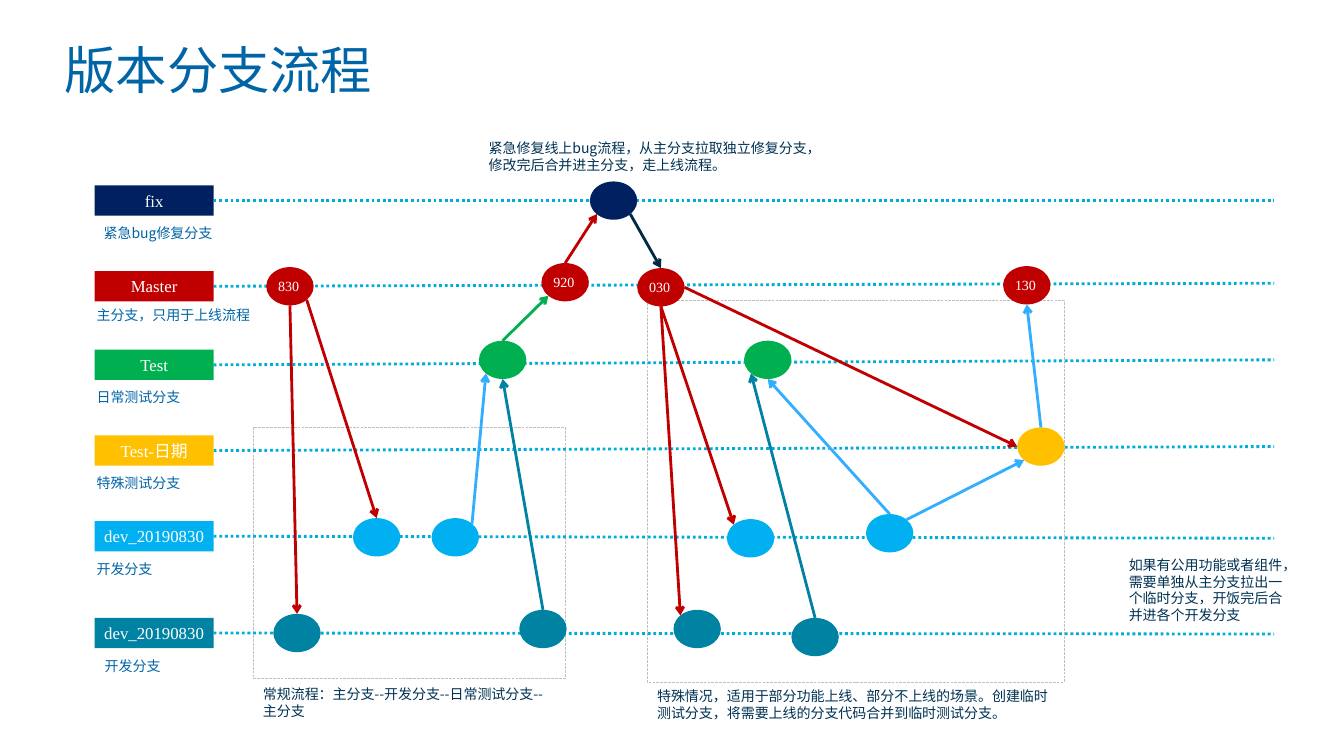
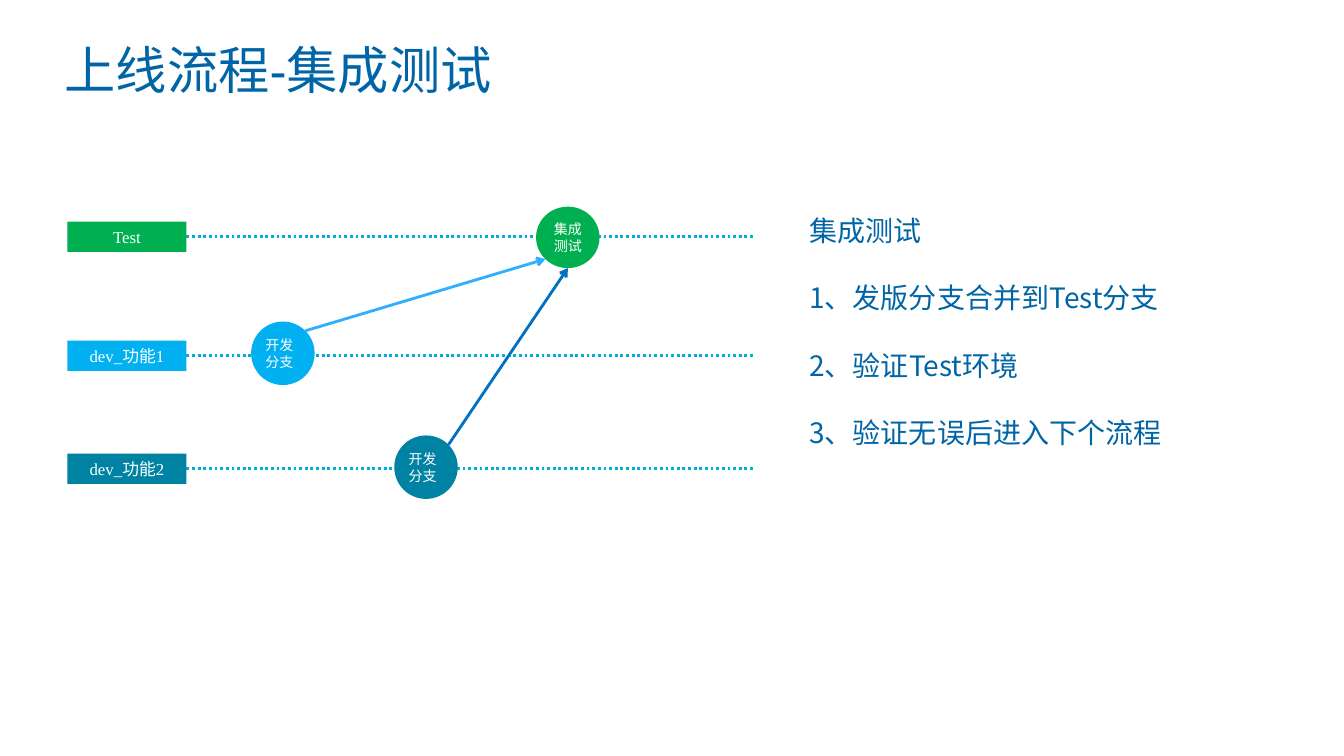
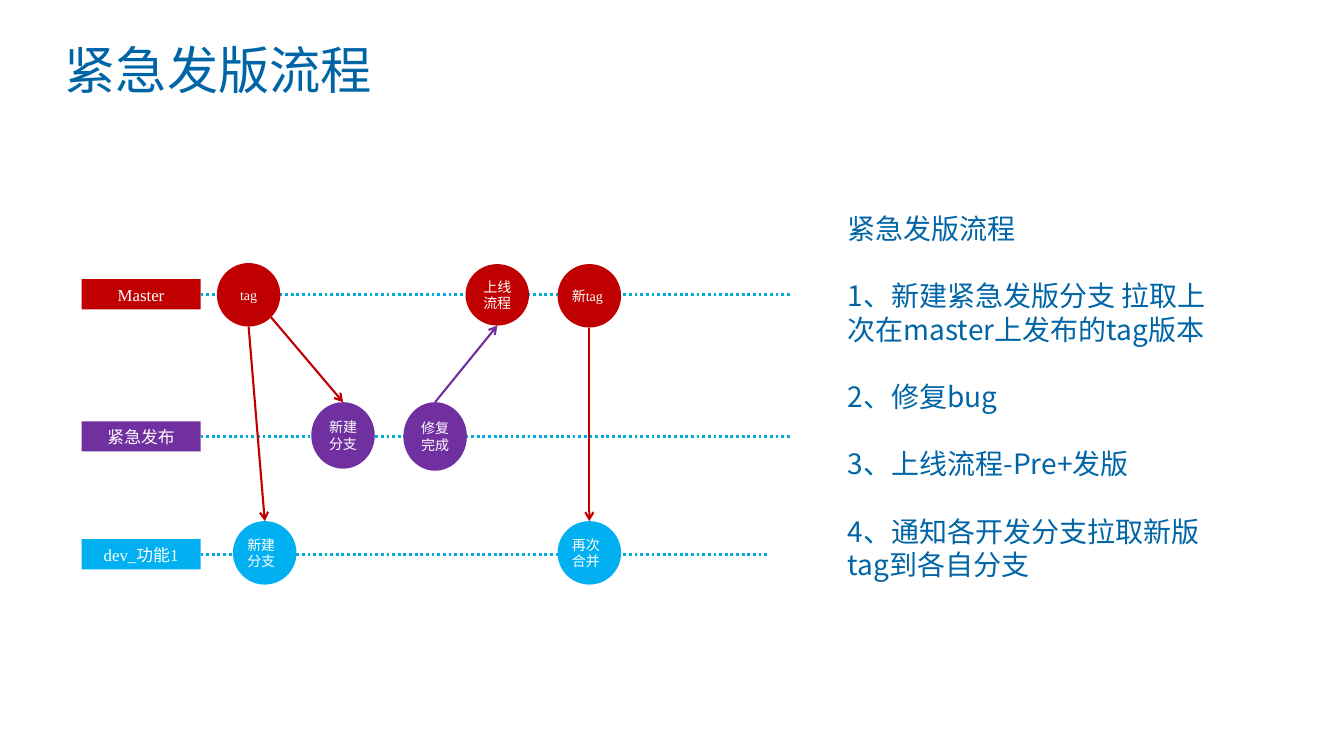
import pptx
import pptx.util
import pptx.dml.color
import pptx.enum.dml
import pptx.enum.shapes
import pptx.enum.text
import pptx.oxml.ns
from lxml import etree

WIDE, HIGH = 13.33, 7.5
COL, ROW = WIDE / 40, HIGH / 30
HAN = "Noto Sans CJK SC"
SERIF = "Times New Roman"
INK = {
    "white": "FFFFFF", "title": "0065A6", "note": "003253", "frame": "BFBFBF",
    "dots": "00ADDA", "red": "C00000", "navy": "002060", "dark": "002A46",
    "green": "00B050", "gold": "FFC000", "sky": "00B0F0", "light": "31AEFF",
    "teal": "0082A3", "blue": "0070C0", "plum": "7030A0",
}
TAG = (3.54, 1.2)
SMALL = (1.41, 1.52)
LARGE = (1.89, 2.52)
DIAG = 0.5 ** 0.5
PORTS = {
    "t": (0, -1), "b": (0, 1), "l": (-1, 0), "r": (1, 0),
    "tl": (-DIAG, -DIAG), "tr": (DIAG, -DIAG),
    "bl": (-DIAG, DIAG), "br": (DIAG, DIAG),
}
Pt = pptx.util.Pt
ALIGN = pptx.enum.text.PP_ALIGN
MID = pptx.enum.text.MSO_ANCHOR.MIDDLE
TOP = pptx.enum.text.MSO_ANCHOR.TOP
KIND = pptx.enum.shapes.MSO_SHAPE
DASH = pptx.enum.dml.MSO_LINE


def across(cols):
    return pptx.util.Inches(cols * COL)


def down(rows):
    return pptx.util.Inches(rows * ROW)


def area(left, top, wide, high):
    return across(left), down(top), across(wide), down(high)


def tint(name):
    return pptx.dml.color.RGBColor.from_string(INK[name])


def write(shape, lines, size, color, face=HAN, align=ALIGN.LEFT, anchor=TOP,
          pad=(0.1, 0.05), gap=0, pitch=1.2, wrap=True):
    """Fill a shape with paragraphs; gap is the space between them in points."""
    frame = shape.text_frame
    frame.word_wrap = wrap
    frame.auto_size = pptx.enum.text.MSO_AUTO_SIZE.NONE
    frame.vertical_anchor = anchor
    frame.margin_left = frame.margin_right = pptx.util.Inches(pad[0])
    frame.margin_top = frame.margin_bottom = pptx.util.Inches(pad[1])
    for i, line in enumerate(lines):
        para = frame.add_paragraph() if i else frame.paragraphs[0]
        para.alignment = align
        para.line_spacing = Pt(round(size * pitch, 1))
        para.space_before = Pt(gap if i else 0)
        run = para.add_run()
        run.text = line
        run.font.size = Pt(size)
        run.font.color.rgb = tint(color)
        run.font.name = face
        east = etree.SubElement(run._r.get_or_add_rPr(),
                                pptx.oxml.ns.qn("a:ea"))
        east.set("typeface", HAN)


def start(deck, title):
    slide = deck.slides.add_slide(deck.slide_layouts[5])
    head = slide.shapes.title
    head.left, head.top, head.width, head.height = area(1.5, 1.12, 37.98, 2.12)
    write(head, [title], 36.6, "title", "Arial", pad=(0.14, 0.07), pitch=1.25)
    return slide


def solid(slide, kind, mid, size, color):
    """Draw a plain filled shape around its middle."""
    left, top = mid[0] - size[0] / 2, mid[1] - size[1] / 2
    shape = slide.shapes.add_shape(kind, *area(left, top, *size))
    shape.shadow.inherit = False
    shape.fill.solid()
    shape.fill.fore_color.rgb = tint(color)
    shape.line.fill.background()
    return shape


def line(slide, tail, head, color, width=2, dash=None, arrow=False):
    link = slide.shapes.add_connector(
        pptx.enum.shapes.MSO_CONNECTOR.STRAIGHT,
        across(tail[0]), down(tail[1]), across(head[0]), down(head[1]))
    link.line.color.rgb = tint(color)
    link.line.width = Pt(width)
    if dash:
        link.line.dash_style = dash
    props = link._element.spPr
    if arrow:
        stroke = props.find(pptx.oxml.ns.qn("a:ln"))
        etree.SubElement(stroke, pptx.oxml.ns.qn("a:tailEnd")).set("type", "arrow")
    etree.SubElement(props, pptx.oxml.ns.qn("a:effectLst"))


def lane(slide, left, row, label, color, end):
    line(slide, (left + TAG[0], row), end, "dots", dash=DASH.ROUND_DOT)
    tag = solid(slide, KIND.RECTANGLE, (left + TAG[0] / 2, row), TAG, color)
    write(tag, [label], 12, "white", SERIF, ALIGN.CENTER, MID, (0.05, 0.05))


def node(slide, mid, size, color, label="", align=ALIGN.LEFT, wrap=True):
    """Draw a commit and return its middle and size for the arrows."""
    dot = solid(slide, KIND.OVAL, mid, size, color)
    if label:
        write(dot, [label], 10, "white", SERIF, align, MID, (0.05, 0.05),
              wrap=wrap)
    return mid, size


def port(spot, side):
    mid, size = spot
    return tuple(m + s / 2 * p for m, s, p in zip(mid, size, PORTS[side]))


def join(slide, spots, links, width=2):
    for tail, out, head, into, color in links:
        line(slide, port(spots[tail], out), port(spots[head], into), color,
             width, arrow=True)


def text(slide, box, lines, size=10, color="note", gap=0):
    write(slide.shapes.add_textbox(*area(*box)), lines, size, color, gap=gap)


def frame(slide, box):
    shape = slide.shapes.add_shape(KIND.RECTANGLE, *area(*box))
    shape.shadow.inherit = False
    shape.fill.background()
    shape.line.color.rgb = tint("frame")
    shape.line.width = Pt(0.25)
    shape.line.dash_style = DASH.LONG_DASH


def branches(deck):
    slide = start(deck, "版本分支流程")
    frame(slide, (19.26, 11.92, 12.42, 15.16))
    frame(slide, (7.53, 16.96, 9.3, 9.96))
    for row, last, label, color, left, top, note in [
        (7.96, 7.96, "fix", "navy", 2.79, 8.72, "紧急bug修复分支"),
        (11.36, 11.24, "Master", "red", 2.58, 11.96, "主分支，只用于上线流程"),
        (14.48, 14.28, "Test", "green", 2.58, 15.24, "日常测试分支"),
        (17.88, 17.72, "Test-日期", "gold", 2.58, 18.64, "特殊测试分支"),
        (21.28, 21.36, "dev_20190830", "sky", 2.58, 22.04, "开发分支"),
        (25.12, 25.16, "dev_20190830", "teal", 2.82, 25.88, "开发分支"),
    ]:
        lane(slide, 2.82, row, label, color, (37.92, last))
        text(slide, (left, top, 6.54, 1.08), [note], color="title")
    spots = {
        name: node(slide, (x, y), SMALL, color, label)
        for name, x, y, color, label in [
            ("830", 8.63, 11.36, "red", "830"),
            ("920", 16.82, 11.2, "red", "920"),
            ("030", 19.67, 11.4, "red", "030"),
            ("130", 30.56, 11.32, "red", "130"),
            ("fix", 18.26, 7.96, "navy", ""),
            ("test1", 14.96, 14.28, "green", ""),
            ("test2", 22.85, 14.28, "green", ""),
            ("date", 30.98, 17.72, "gold", ""),
            ("sky1", 11.21, 21.32, "sky", ""),
            ("sky2", 13.55, 21.32, "sky", ""),
            ("sky3", 22.34, 21.36, "sky", ""),
            ("sky4", 26.48, 21.16, "sky", ""),
            ("teal1", 8.84, 25.12, "teal", ""),
            ("teal2", 16.16, 24.96, "teal", ""),
            ("teal3", 20.75, 24.96, "teal", ""),
            ("teal4", 24.26, 25.28, "teal", ""),
        ]
    }
    join(slide, spots, [
        ("830", "br", "sky1", "t", "red"),
        ("830", "b", "teal1", "t", "red"),
        ("sky2", "tr", "test1", "bl", "light"),
        ("teal2", "t", "test1", "b", "teal"),
        ("test1", "t", "920", "bl", "green"),
        ("920", "t", "fix", "bl", "red"),
        ("fix", "br", "030", "t", "dark"),
        ("030", "b", "sky3", "tl", "red"),
        ("030", "b", "teal3", "tl", "red"),
        ("030", "r", "date", "l", "red"),
        ("sky4", "t", "test2", "b", "light"),
        ("teal4", "t", "test2", "bl", "teal"),
        ("sky4", "tr", "date", "bl", "light"),
        ("date", "t", "130", "b", "light"),
    ])
    text(slide, (7.53, 27, 9.18, 1.76),
         ["常规流程：主分支--开发分支--日常测试分支--", "主分支"])
    text(slide, (19.26, 27.08, 12.42, 1.76),
         ["特殊情况，适用于部分功能上线、部分不上线的场景。"
          "创建临时测试分支，将需要上线的分支代码合并到临时测试分支。"])
    text(slide, (14.25, 5.36, 10.56, 1.76),
         ["紧急修复线上bug流程，从主分支拉取独立修复分支，",
          "修改完后合并进主分支，走上线流程。"])
    text(slide, (33.3, 21.88, 5.16, 3.76),
         ["如果有公用功能或者组件，需要单独从主分支拉出一个临时分支，"
          "开饭完后合并进各个开发分支"])


def testing(deck):
    slide = start(deck, "上线流程-集成测试")
    for row, label, color in [(9.4, "Test", "green"),
                              (14.12, "dev_功能1", "sky"),
                              (18.6, "dev_功能2", "teal")]:
        lane(slide, 2.01, row, label, color, (22.44, row))
    spots = {
        "dev1": node(slide, (8.42, 14.02), LARGE, "sky", "开发分支"),
        "dev2": node(slide, (12.68, 18.54), LARGE, "teal", "开发分支"),
        "test": node(slide, (16.9, 9.42), (1.89, 2.44), "green", "集成测试",
                     ALIGN.CENTER),
    }
    join(slide, spots, [("dev1", "tr", "test", "bl", "light"),
                        ("dev2", "tr", "test", "b", "blue")])
    text(slide, (23.79, 8.28, 12.3, 11.16),
         ["集成测试", "1、发版分支合并到Test分支", "2、验证Test环境",
          "3、验证无误后进入下个流程"], 20, "title", 24)


def urgent(deck):
    slide = start(deck, "紧急发版流程")
    for row, label, color, last in [(11.68, "Master", "red", 23.58),
                                    (17.32, "紧急发布", "plum", 23.58),
                                    (22, "dev_功能1", "sky", 22.86)]:
        lane(slide, 2.43, row, label, color, (last, row))
    spots = {
        "tag": node(slide, (7.4, 11.7), LARGE, "red", "tag", ALIGN.CENTER),
        "live": node(slide, (14.8, 11.7), (1.89, 2.44), "red", "上线流程",
                     ALIGN.CENTER),
        "next": node(slide, (17.54, 11.74), LARGE, "red", "新tag", wrap=False),
        "new": node(slide, (10.21, 17.28), (1.89, 2.64), "plum", "新建分支",
                    ALIGN.CENTER),
        "done": node(slide, (12.95, 17.32), (1.89, 2.72), "plum", "修复完成",
                     ALIGN.CENTER),
        "dev": node(slide, (7.88, 21.94), LARGE, "sky", "新建分支"),
        "merge": node(slide, (17.54, 21.94), LARGE, "sky", "再次合并"),
    }
    join(slide, spots, [("tag", "br", "new", "t", "red"),
                        ("tag", "b", "dev", "t", "red"),
                        ("done", "t", "live", "b", "plum"),
                        ("next", "b", "merge", "t", "red")], 1.5)
    text(slide, (24.93, 8.2, 11.91, 16.56),
         ["紧急发版流程", "1、新建紧急发版分支 拉取上次在master上发布的tag版本",
          "2、修复bug", "3、上线流程-Pre+发版",
          "4、通知各开发分支拉取新版tag到各自分支"], 20, "title", 24)


def main():
    deck = pptx.Presentation()
    deck.slide_width = pptx.util.Inches(WIDE)
    deck.slide_height = pptx.util.Inches(HIGH)
    branches(deck)
    testing(deck)
    urgent(deck)
    deck.save("out.pptx")


if __name__ == "__main__":
    main()
